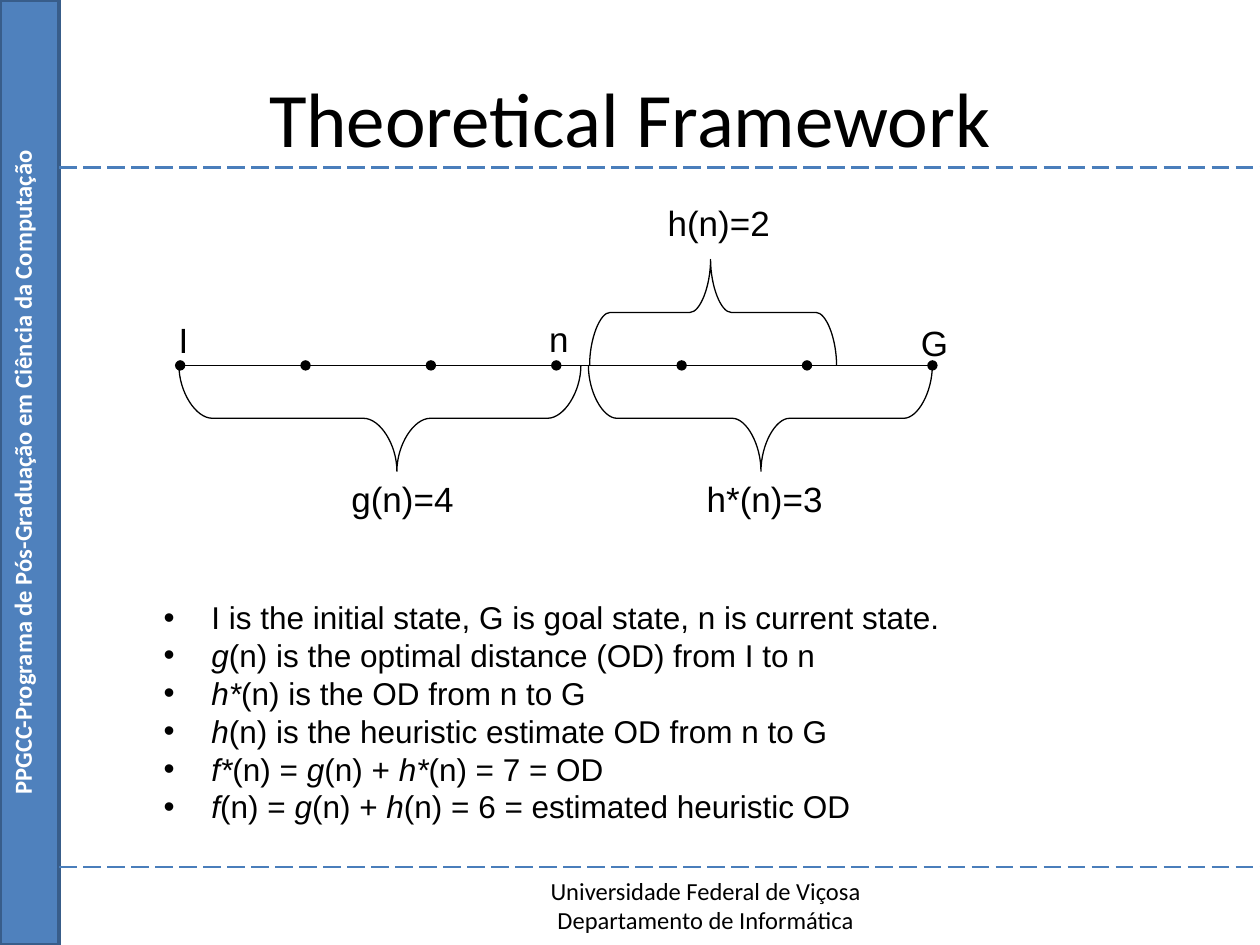
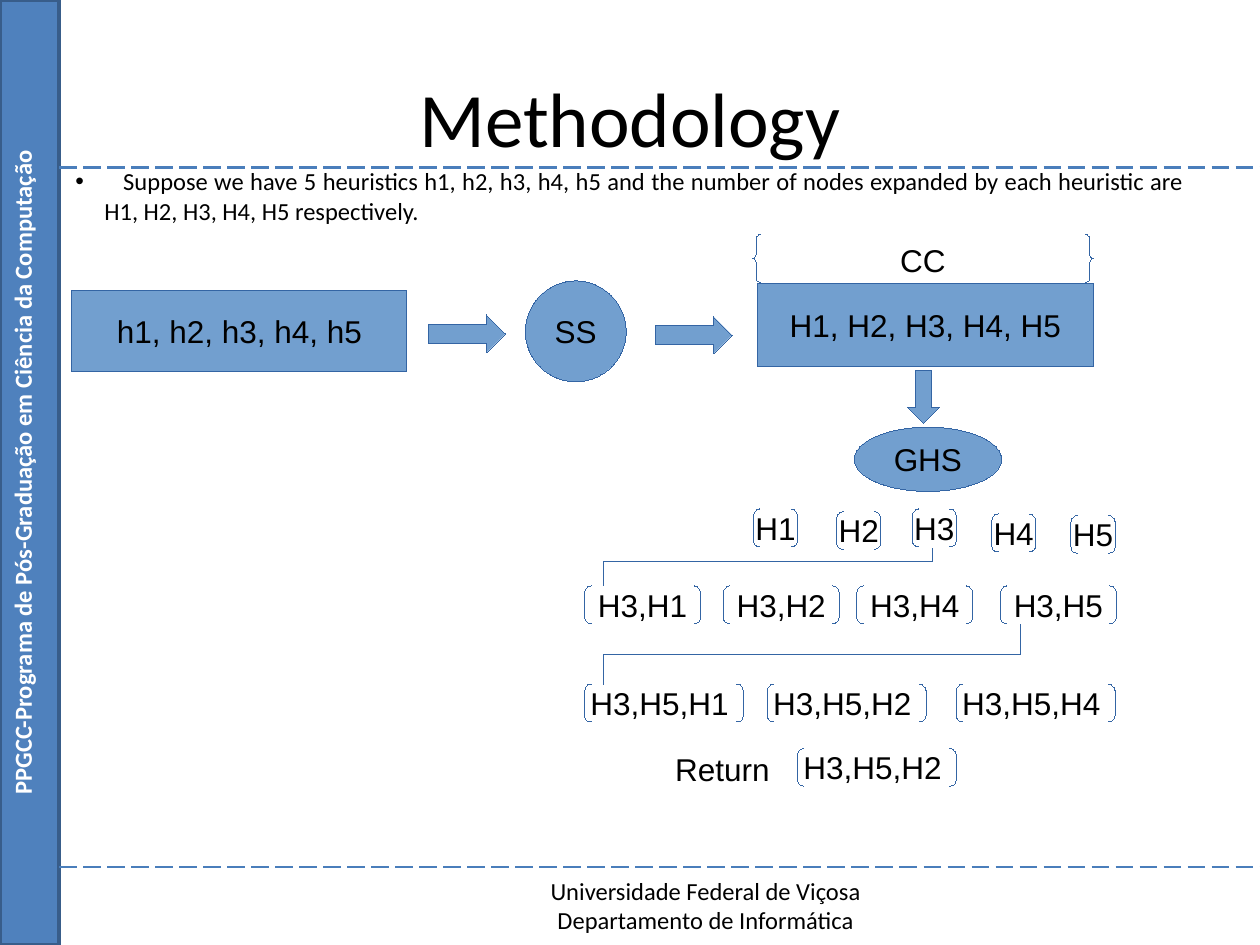
from lxml import etree
from pptx import Presentation
from pptx import util as u
from pptx.dml.color import RGBColor
from pptx.enum import dml, shapes, text
from pptx.oxml.ns import qn

# ---------- Shared content and style ----------
BAND_TEXT = "PPGCC-Programa de Pós-Graduação em Ciência da Computação"
FOOTER = ["Universidade Federal de Viçosa", "Departamento de Informática"]
BLACK, WHITE = "000000", "FFFFFF"
BAND, BAND_EDGE, RULE = "4F81BD", "385D8A", "4A7EBB"
NODE, NODE_EDGE = "729FCF", "3465A4"
BAND_WIDTH = 0.47
RULES_Y = [1.33, 6.88]
CENTER, LEFT, JUSTIFY = (text.PP_ALIGN.CENTER, text.PP_ALIGN.LEFT,
                         text.PP_ALIGN.JUSTIFY)
KIND = shapes.MSO_SHAPE

# ---------- Slide 1: path from I to G ----------
AXIS_Y, AXIS_LEFT, AXIS_RIGHT, STEPS = 2.9, 1.43, 7.4, 6
# left, right, tip x, direction (1 down, -1 up)
BRACES = [(1.42, 4.61, 3.15, 1), (4.67, 7.4, 6.04, 1), (4.68, 6.64, 5.64, -1)]
BRACE_HALF = 0.42
# label, left, top, width
PATH_LABELS = [("I", 1.32, 2.51, 0.49), ("G", 7.21, 2.53, 0.99),
               ("g(n)=4\th*(n)=3", 2.69, 3.77, 5.71),
               ("h(n)=2", 5.2, 1.58, 1.51), ("n", 4.26, 2.5, 0.99)]
LABEL_TAB = 2.82
# underscores enclose italics
DEFINITIONS = [
    "I is the initial state, G is goal state, n is current state.",
    "_g_(n) is the optimal distance (OD) from I to n",
    "_h*_(n) is the OD from n to G",
    "_h_(n) is the heuristic estimate OD from n to G",
    "_f*_(n) = _g_(n) + _h*_(n) = 7 = OD",
    "_f_(n) = _g_(n) + _h_(n) = 6 = estimated heuristic OD",
]

# ---------- Slide 2: heuristic selection ----------
PREMISE = ("\tSuppose we have 5 heuristics h1, h2, h3, h4, h5 and the number of "
           "nodes expanded by each heuristic are H1, H2, H3, H4, H5 respectively.")
# kind, label, left, top, width, height
FLOW = [
    (KIND.RECTANGLE, "h1, h2, h3, h4, h5", 0.57, 2.31, 2.66, 0.64),
    (KIND.RIGHT_ARROW, "", 3.4, 2.5, 0.61, 0.3),
    (KIND.RIGHT_ARROW, "", 5.2, 2.51, 0.61, 0.3),
    (KIND.OVAL, "SS", 4.17, 2.23, 0.8, 0.8),
    (KIND.RECTANGLE, "H1, H2, H3, H4, H5", 6.01, 2.25, 2.67, 0.66),
    (KIND.DOWN_ARROW, "", 7.2, 2.94, 0.26, 0.42),
    (KIND.OVAL, "GHS", 6.78, 3.39, 1.17, 0.51),
]
# width, then label, left, top of each set
SETS = [
    (0.35, [("H1", 5.98, 4.04), ("H2", 6.64, 4.06), ("H3", 7.24, 4.04),
            ("H4", 7.87, 4.08), ("H5", 8.5, 4.09)]),
    (0.92, [("H3,H1", 4.64, 4.65), ("H3,H2", 5.74, 4.65),
            ("H3,H4", 6.8, 4.65), ("H3,H5", 7.94, 4.65)]),
    (1.26, [("H3,H5,H1 ", 4.64, 5.43), ("H3,H5,H2 ", 6.09, 5.43),
            ("H3,H5,H4 ", 7.59, 5.43), ("H3,H5,H2 ", 6.33, 5.94)]),
]
SET_HEIGHT = 0.3
# start x, start y, end x, end y, share of the drop before the turn
ELBOWS = [(7.4, 4.35, 4.79, 4.65, 0.36), (8.1, 4.96, 4.79, 5.43, 0.5)]


# ---------- Helpers ----------
def rgb(value):
    return RGBColor.from_string(value)


def inches(*values):
    return [u.Inches(value) for value in values]


def set_all(target, values):
    for name, value in values.items():
        setattr(target, name, value)


def write(frame, lines, size, font="Arial", color=BLACK, bold=False,
          align=LEFT, spacing=None, hang=None, tabs=()):
    """Fill a frame; hang is the bullet indent, tabs the stops, in inches."""
    for number, line in enumerate(lines):
        para = frame.paragraphs[0] if number == 0 else frame.add_paragraph()
        set_all(para, {"alignment": align, "line_spacing": spacing})
        props = para._p.get_or_add_pPr()
        if hang:
            props.set("marL", str(u.Inches(hang)))
            props.set("indent", str(-u.Inches(hang)))
            etree.SubElement(props, qn("a:buFont"), typeface="Arial")
            etree.SubElement(props, qn("a:buChar"), char="•")
        if tabs:
            stops = etree.SubElement(props, qn("a:tabLst"))
            for stop in tabs:
                etree.SubElement(stops, qn("a:tab"), algn="l",
                                 pos=str(u.Inches(stop)))
        for part, words in enumerate(line.split("_")):
            if words:
                span = para.add_run()
                span.text = words
                set_all(span.font, {"name": font, "size": u.Pt(size),
                                    "bold": bold, "italic": part % 2 == 1})
                span.font.color.rgb = rgb(color)


def add_text(page, place, lines, size, **style):
    box = page.shapes.add_textbox(*inches(*place))
    box.text_frame.word_wrap = True
    write(box.text_frame, lines, size, **style)
    return box


def outline(shape, color, width):
    shape.line.color.rgb = rgb(color)
    # Written directly so that a zero width (hairline) is kept
    shape.line._get_or_add_ln().set("w", str(u.Pt(width)))


def add_block(page, kind, label, place, fill=NODE, edge=NODE_EDGE, width=0):
    block = page.shapes.add_shape(kind, *inches(*place))
    block.shadow.inherit = False
    outline(block, edge, width)
    if fill:
        block.fill.solid()
        block.fill.fore_color.rgb = rgb(fill)
    else:
        block.fill.background()
    if label:
        set_all(block.text_frame, {"word_wrap": False,
                                   "vertical_anchor": text.MSO_ANCHOR.MIDDLE})
        write(block.text_frame, [label], 18, align=CENTER)
    return block


def add_line(page, start, end, color, width, kind=shapes.MSO_CONNECTOR.STRAIGHT):
    line = page.shapes.add_connector(kind, *inches(*start, *end))
    outline(line, color, width)
    etree.SubElement(line._element.spPr, qn("a:effectLst"))
    return line


def add_elbow(page, x1, y1, x2, y2, turn):
    """Down, across, down: an elbow turned a quarter about its centre."""
    run, drop = x1 - x2, y2 - y1
    mid_x, mid_y = (x1 + x2) / 2, (y1 + y2) / 2
    elbow = add_line(page, (mid_x - drop / 2, mid_y - run / 2),
                     (mid_x + drop / 2, mid_y + run / 2),
                     NODE_EDGE, 0, shapes.MSO_CONNECTOR.ELBOW)
    props = elbow._element.spPr
    props.find(qn("a:xfrm")).set("rot", str(90 * 60000))
    guides = props.find(qn("a:prstGeom")).find(qn("a:avLst"))
    etree.SubElement(guides, qn("a:gd"), name="adj1",
                     fmla=f"val {round(turn * 100000)}")


def add_brace(page, left, right, tip, way):
    corner = (right - left) / 12
    half = BRACE_HALF * way
    bar, end = AXIS_Y + half, AXIS_Y + 2 * half

    def side(edge, inward):
        bend = inward * corner
        return [(edge, AXIS_Y), (edge, AXIS_Y + half / 2),
                (edge + bend / 2, bar), (edge + bend, bar),
                (tip - bend, bar), (tip - bend / 2, bar),
                (tip, bar + half / 2), (tip, end)]

    points = side(left, 1) + side(right, -1)[-2::-1]
    points = [tuple(inches(*point)) for point in points]
    builder = page.shapes.build_freeform(*points[0], scale=1.0)
    builder.add_line_segments(points[1:], close=False)
    brace = builder.convert_to_shape()
    # Turn each run of three corner points into one Bezier curve
    segments = list(brace._element.iter(qn("a:lnTo")))
    for first in (0, 4, 7, 11):
        bezier = etree.Element(qn("a:cubicBezTo"))
        segments[first].addprevious(bezier)
        for segment in segments[first:first + 3]:
            bezier.append(segment[0])
            segment.getparent().remove(segment)
    brace.shadow.inherit = False
    brace.fill.background()
    outline(brace, BLACK, 0.75)


def add_page(deck, title):
    page = deck.slides.add_slide(deck.slide_layouts[5])
    heading = page.shapes.title
    set_all(heading, dict(zip(("left", "top", "width", "height"),
                              inches(0.5, 0.3, 9, 1.25))))
    heading.text_frame.vertical_anchor = text.MSO_ANCHOR.MIDDLE
    write(heading.text_frame, [title], 44, font="Calibri", align=CENTER)
    # Side band, dashed rules and footer
    add_block(page, KIND.RECTANGLE, "", (0, 0, BAND_WIDTH, 7.5),
              BAND, BAND_EDGE, 2)
    for y in RULES_Y:
        rule = add_line(page, (BAND_WIDTH, y), (10, y), RULE, 1.25)
        rule.line.dash_style = dml.MSO_LINE.LONG_DASH
    add_text(page, (2.24, 6.9, 6.72, 0.57), FOOTER, 14,
             font="Calibri", align=CENTER)
    band = add_text(page, (-3.57, 3.58, 7.5, 0.34), [BAND_TEXT], 14,
                    font="Calibri", color=WHITE, bold=True, align=CENTER)
    band.rotation = 270
    return page


# ---------- Slides ----------
def build_framework(deck):
    page = add_page(deck, "Theoretical Framework")
    # Path with a dot at each state
    step = (AXIS_RIGHT - AXIS_LEFT) / STEPS
    for number in range(STEPS):
        x = AXIS_LEFT + number * step
        line = add_line(page, (x, AXIS_Y), (x + step, AXIS_Y), BLACK, 0.75)
        ends = ["a:headEnd"] + ["a:tailEnd"] * (number == STEPS - 1)
        for end in ends:
            etree.SubElement(line.line._get_or_add_ln(), qn(end), type="oval")
    for brace in BRACES:
        add_brace(page, *brace)
    for label, left, top, width in PATH_LABELS:
        add_text(page, (left, top, width, 0.41), [label], 20, spacing=0.93,
                 tabs=[LABEL_TAB])
    add_text(page, (1.2, 4.7, 8.1, 1.9), DEFINITIONS, 18, hang=0.38)


def build_methodology(deck):
    page = add_page(deck, "Methodology")
    add_text(page, (0.5, 1.27, 9, 5.39), [PREMISE], 14, font="Calibri",
             align=JUSTIFY, hang=0.23, tabs=[0.15, 0.38])
    # Flow from heuristics to GHS
    for kind, label, *place in FLOW:
        add_block(page, kind, label, place)
    add_block(page, KIND.DOUBLE_BRACE, "CC", (5.97, 1.86, 2.71, 0.38), None)
    # Greedy choice of sets
    for width, row in SETS:
        for label, left, top in row:
            pair = add_block(page, KIND.DOUBLE_BRACKET, label,
                             (left, top, width, SET_HEIGHT), None)
            pair.adjustments[0] = 0.17
    for elbow in ELBOWS:
        add_elbow(page, *elbow)
    add_text(page, (5.26, 5.9, 3.61, 0.7), ["Return"], 18)


def main():
    deck = Presentation()
    deck.slide_width, deck.slide_height = inches(10, 7.5)
    build_framework(deck)
    build_methodology(deck)
    deck.save("out.pptx")


if __name__ == "__main__":
    main()
